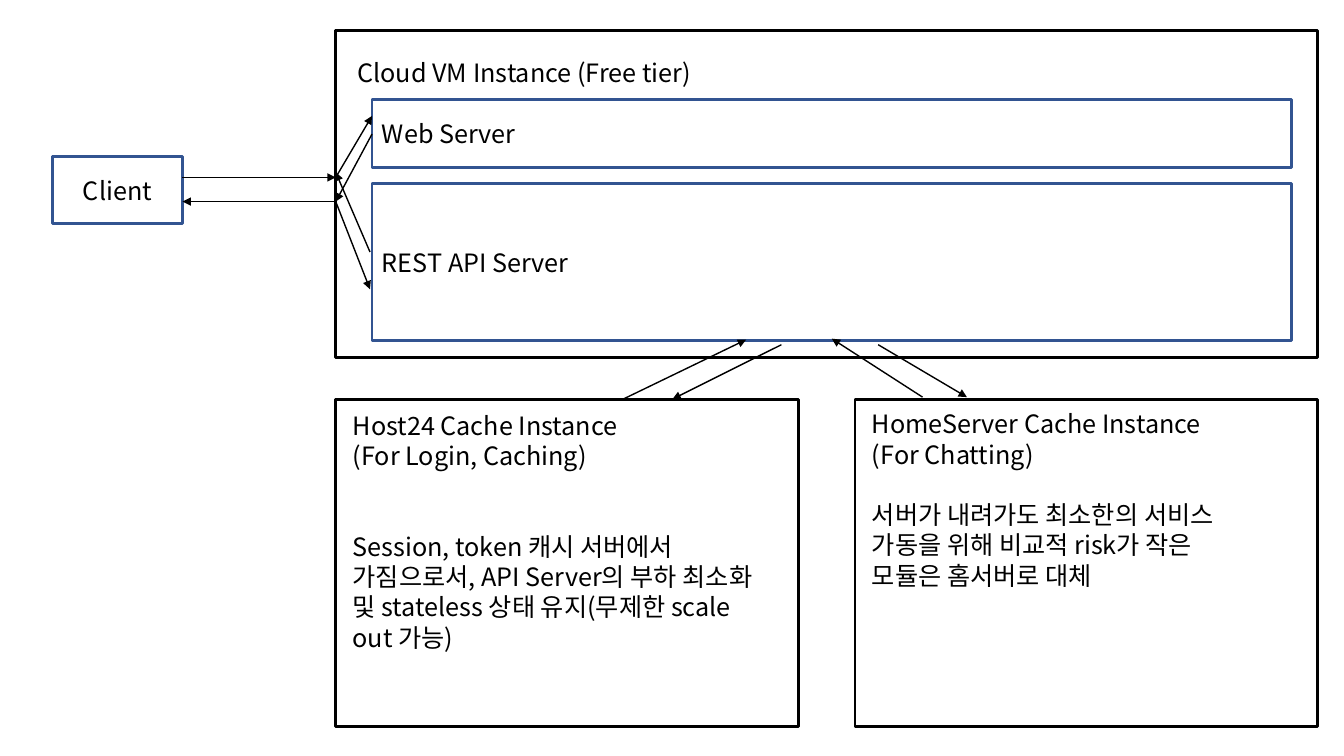
from pptx import Presentation
from pptx.dml.color import RGBColor
from pptx.enum.shapes import MSO_CONNECTOR, MSO_SHAPE
from pptx.enum.text import MSO_ANCHOR, PP_ALIGN
from pptx.oxml.ns import qn
from pptx.util import Inches, Pt
from lxml.etree import SubElement

FONT = "Noto Sans CJK KR"
BLACK, BLUE = "000000", "325491"
LINE_PITCH = 21.6  # points from one text line to the next

# Boxes are left, top, width, height in inches
CLIENT = (0.52, 1.55, 1.29, 0.67)
CLOUD = (3.33, 0.3, 9.74, 3.25)
STORE_TOP, STORE_WIDTH, STORE_HEIGHT = 3.96, 4.59, 3.25
REQUEST_Y, RESPONSE_Y = 1.76, 2.0


def color(hex_string):
    return RGBColor.from_string(hex_string)


def add_box(slide, box, line=None):
    """Add an unfilled rectangle, outlined only when a line colour is given."""
    rect = slide.shapes.add_shape(MSO_SHAPE.RECTANGLE, *map(Inches, box))
    rect.shadow.inherit = False
    rect.fill.background()
    if line:
        rect.line.color.rgb = color(line)
        rect.line.width = Pt(2)
    else:
        rect.line.fill.background()
    return rect


def write(rect, paragraphs, align=PP_ALIGN.LEFT):
    """Fill a box with (text, lines of space before) pairs."""
    frame = rect.text_frame
    frame.word_wrap = True
    frame.vertical_anchor = MSO_ANCHOR.MIDDLE
    for index, (text, gap) in enumerate(paragraphs):
        paragraph = frame.paragraphs[0] if index == 0 else frame.add_paragraph()
        layout = {"alignment": align, "line_spacing": Pt(LINE_PITCH),
                  "space_before": Pt(gap * LINE_PITCH)}
        for name, value in layout.items():
            setattr(paragraph, name, value)
        run = paragraph.add_run()
        run.text = text
        for name, value in {"size": Pt(18), "name": FONT}.items():
            setattr(run.font, name, value)
        run.font.color.rgb = color(BLACK)
        SubElement(run.font._element, qn("a:ea")).set("typeface", FONT)


def add_arrow(slide, start, end):
    arrow = slide.shapes.add_connector(
        MSO_CONNECTOR.STRAIGHT, *map(Inches, start + end))
    arrow.line.color.rgb = color(BLACK)
    arrow.line.width = Pt(1)
    SubElement(arrow.line._get_or_add_ln(), qn("a:tailEnd")).set("type", "triangle")
    SubElement(arrow._element.spPr, qn("a:effectLst"))


def add_client(slide, box):
    write(add_box(slide, box, BLUE), [("Client", 0)], PP_ALIGN.CENTER)
    client_edge, cloud_edge = box[0] + box[2], CLOUD[0]
    add_arrow(slide, (client_edge, REQUEST_Y), (cloud_edge, REQUEST_Y))
    add_arrow(slide, (cloud_edge, RESPONSE_Y), (client_edge, RESPONSE_Y))


def add_cloud(slide, box):
    """Add the instance frame, its two servers and the routes to them."""
    left, top, width, _ = box
    add_box(slide, box, BLACK)
    heading = add_box(slide, (left + 0.07, top + 0.08, 3.6, 0.67))
    write(heading, [("Cloud VM Instance (Free tier)", 0)], PP_ALIGN.CENTER)
    servers = [("Web Server", 0.69, 0.67), ("REST API Server", 1.52, 1.56)]
    for server, offset, height in servers:
        rect = add_box(slide, (left + 0.36, top + offset, width - 0.62, height), BLUE)
        write(rect, [(server, 0)])
    web, api = left + 0.36, left + 0.34
    routes = [((left, REQUEST_Y), (web, top + 0.85)),
              ((web, top + 1.03), (left, RESPONSE_Y)),
              ((api, top + 2.2), (left, top + 1.41)),
              ((left, RESPONSE_Y), (api, top + 2.57))]
    for start, end in routes:
        add_arrow(slide, start, end)


def add_store(slide, box, text_size, paragraphs, routes):
    """Add a data store; route points are offsets from its top left corner."""
    left, top = box[:2]
    add_box(slide, box, BLACK)
    write(add_box(slide, (left + 0.07, top + 0.08) + text_size), paragraphs)
    for route in routes:
        add_arrow(slide, *[(left + x, top + y) for x, y in route])


def main():
    prs = Presentation()
    prs.slide_width, prs.slide_height = Inches(13.33), Inches(7.5)
    slide = prs.slides.add_slide(prs.slide_layouts[6])
    add_cloud(slide, CLOUD)
    add_client(slide, CLIENT)

    store_size = (STORE_WIDTH, STORE_HEIGHT)
    login_left = CLOUD[0]
    chat_left = CLOUD[0] + CLOUD[2] - STORE_WIDTH
    add_store(
        slide, (login_left, STORE_TOP) + store_size, (4.38, 2.46),
        [("Host24 Cache Instance", 0),
         ("(For Login, Caching)", 0),
         ("Session, token 캐시 서버에서 가짐으로서, API Server의 부하 최소화 및 "
          "stateless 상태 유지(무제한 scale out 가능)", 2)],
        [((4.42, -0.54), (3.34, 0)), ((2.85, 0), (4.07, -0.59))])
    add_store(
        slide, (chat_left, STORE_TOP) + store_size, (3.65, 1.83),
        [("HomeServer Cache Instance", 0),
         ("(For Chatting)", 0),
         ("서버가 내려가도 최소한의 서비스 가동을 위해 비교적 risk가 작은 "
          "모듈은 홈서버로 대체", 1)],
        [((0.23, -0.54), (1.11, -0.02)), ((0.67, -0.02), (-0.23, -0.6))])
    prs.save("out.pptx")


if __name__ == "__main__":
    main()
